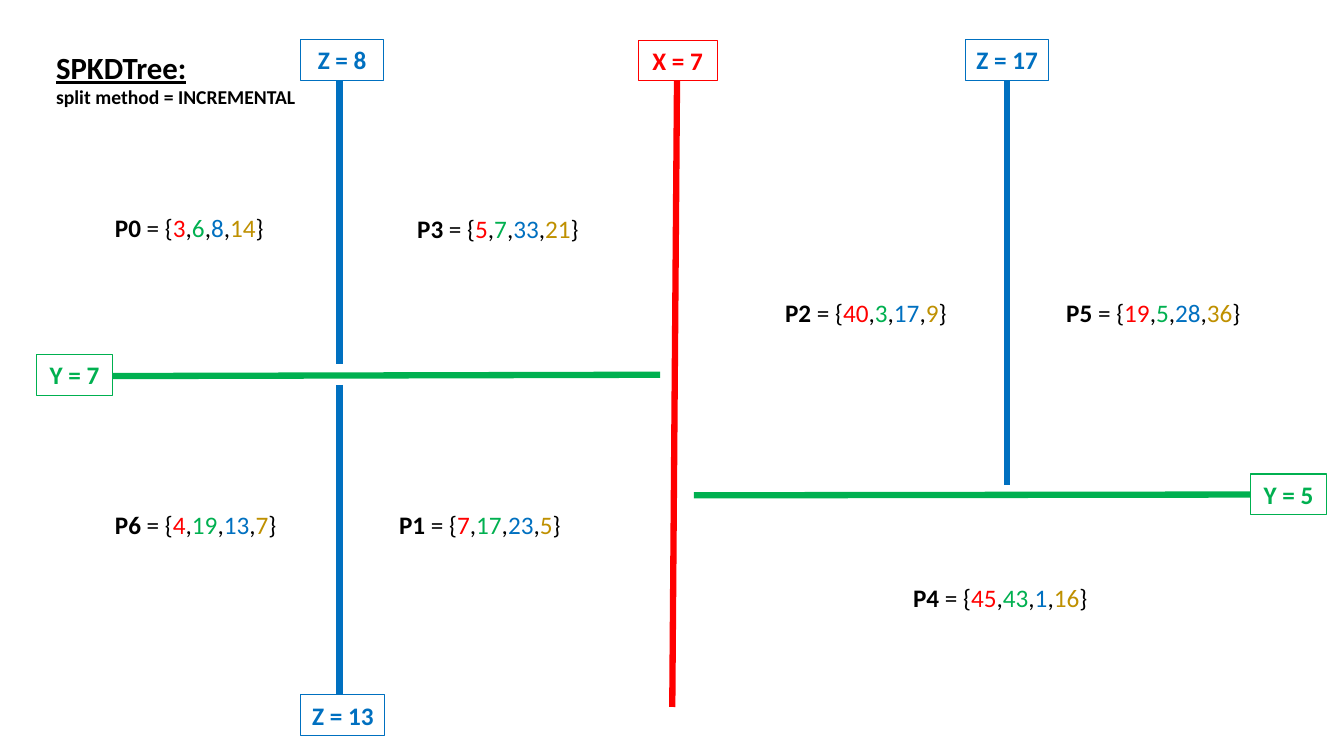
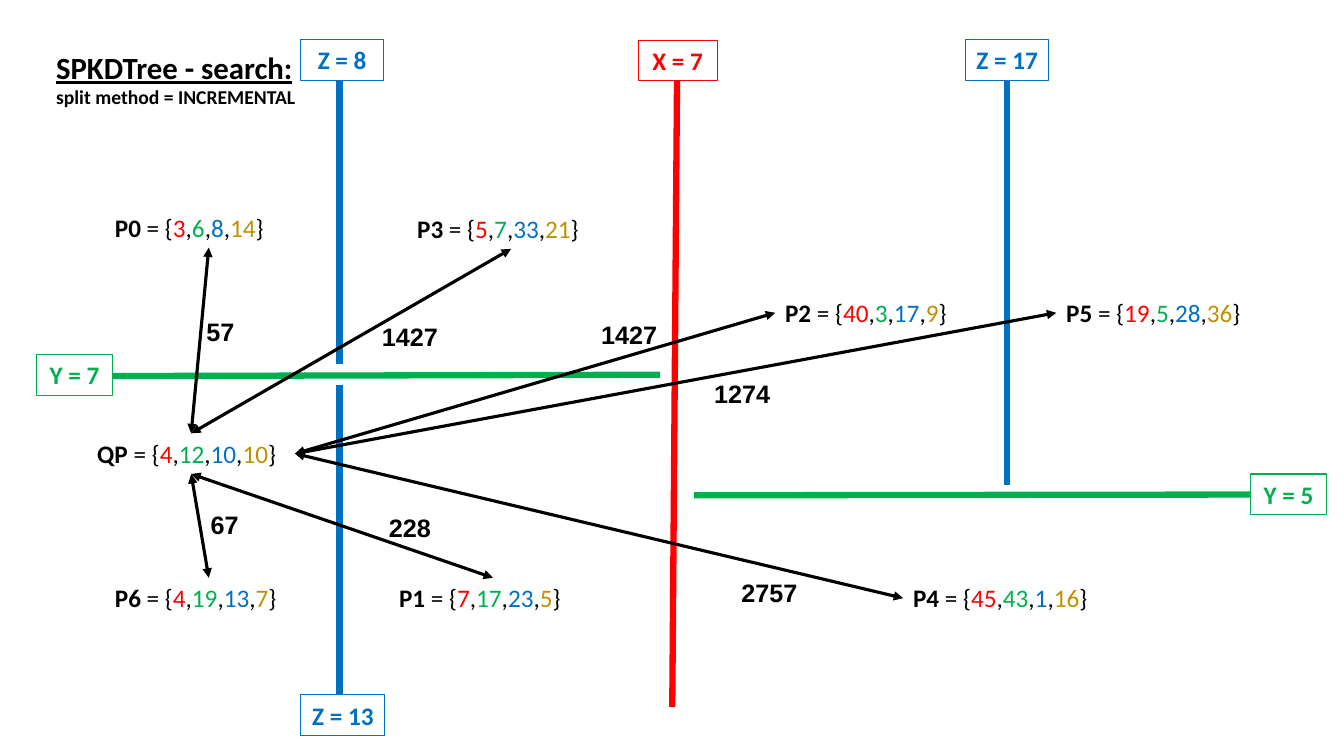
from lxml.etree import SubElement
from pptx import Presentation
from pptx.dml.color import RGBColor
from pptx.enum.shapes import MSO_CONNECTOR, MSO_SHAPE
from pptx.enum.text import MSO_AUTO_SIZE, PP_ALIGN
from pptx.oxml.ns import qn
from pptx.util import Pt

FONT = "Calibri"
BLACK, WHITE = "000000", "FFFFFF"
RED, GREEN, BLUE, GOLD = "FF0000", "00B050", "0070C0", "BF9000"
AXIS_COLORS = (RED, GREEN, BLUE, GOLD)
SLIDE = (0, 0, 960, 540)
POINT_W, ROW_H = 148.3, 29.08

# Point name: left, top (None = lower row, set per slide), values
POINTS = {
    "P0": (75, 147.8, (3, 6, 8, 14)),
    "P5": (754.5, 208.9, (19, 5, 28, 36)),
    "P1": (278, None, (7, 17, 23, 5)),
    "P2": (553.7, 208.9, (40, 3, 17, 9)),
    "P4": (645.1, 412.7, (45, 43, 1, 16)),
    "P3": (290.9, 148.7, (5, 7, 33, 21)),
    "P6": (75, None, (4, 19, 13, 7)),
}
QUERY = (62.4, 309.5, (4, 12, 10, 10))

# Split: label, colour, label box (left, top, width), line ends
SPLITS = [
    ("X = 7", RED, (455.8, 28.8, 56.5), (483.8, 31, 480.2, 505)),
    ("Y = 7", GREEN, (25.8, 253.2, 54.8), (471.6, 267.7, 43, 268.7)),
    ("Z = 17", BLUE, (689.5, 28.2, 59.8), (719.3, 42.5, 719.3, 346.3)),
    ("Y = 5", GREEN, (893, 338.6, 54.8), (924.5, 353.2, 495.6, 353.8)),
    ("Z = 8", BLUE, (214.5, 28.2, 59.8), (242.6, 33, 242.6, 260)),
    ("Z = 13", BLUE, (215, 496.2, 59.8), (242.6, 275, 242.6, 518.4)),
]

# Search: point, side of query, side of point, distance, label box
DISTANCES = [
    ("P0", "top", "bottom", "57", (138, 222.5, 39)),
    ("P6", "bottom", "top", "67", (141, 360.3, 39)),
    ("P3", "top", "bottom", "1427", (260.8, 225.7, 64)),
    ("P1", "bottom", "top", "228", (260.8, 362.2, 64)),
    ("P2", "right", "left", "1427", (417.4, 224.7, 64)),
    ("P4", "right", "left", "2757", (517.6, 408.8, 64)),
    ("P5", "right", "left", "1274", (498.2, 266.4, 64)),
]


def rgb(value):
    return RGBColor.from_string(value)


def style_run(r, color=BLACK, size=18, bold=False):
    r.font.name, r.font.size, r.font.bold = FONT, Pt(size), bold
    r.font.color.rgb = rgb(color)


def fit_text(sp):
    tf = sp.text_frame
    tf.word_wrap = True
    tf.auto_size = MSO_AUTO_SIZE.SHAPE_TO_FIT_TEXT
    return tf.paragraphs[0]


def add_text(s, box):
    return fit_text(s.shapes.add_textbox(*map(Pt, box)))


def add_line(s, ends, color, width, arrows=False):
    line = s.shapes.add_connector(MSO_CONNECTOR.STRAIGHT, *map(Pt, ends))
    line.line.color.rgb = rgb(color)
    line.line.width = Pt(width)
    sp_pr = line._element.spPr
    if arrows:
        ln = sp_pr.find(qn("a:ln"))
        for end in ("a:headEnd", "a:tailEnd"):
            SubElement(ln, qn(end)).set("type", "triangle")
    SubElement(sp_pr, qn("a:effectLst"))


def add_title(s, box, title):
    p = add_text(s, box)
    p.text = f"{title}\vsplit method = INCREMENTAL"
    heading, method = p.runs
    style_run(heading, size=22, bold=True)
    heading.font.underline = True
    style_run(method, size=14, bold=True)


def add_point(s, box, name, values):
    p = add_text(s, box)
    parts = [(name, BLACK), (" = {", BLACK)]
    for value, color in zip(values, AXIS_COLORS):
        parts += [(str(value), color), (",", BLACK)]
    parts[-1] = ("}", BLACK)
    for text, color in parts:
        r = p.add_run()
        r.text = text
        style_run(r, color, bold=text == name)


def add_split_label(s, box, text, color):
    sp = s.shapes.add_shape(MSO_SHAPE.RECTANGLE, *map(Pt, box))
    sp.shadow.inherit = False
    sp.fill.solid()
    sp.fill.fore_color.rgb = rgb(WHITE)
    sp.line.color.rgb = rgb(color)
    sp.line.width = Pt(0.75)
    p = fit_text(sp)
    p.text = text
    p.alignment = PP_ALIGN.CENTER
    style_run(p.runs[0], color, bold=True)


def add_distance(s, box, text):
    p = add_text(s, box)
    p.text = text
    p.alignment = PP_ALIGN.CENTER
    r = p.runs[0]
    style_run(r, bold=True)
    # Right-to-left digits use the complex-script font
    p._p.get_or_add_pPr().set("rtl", "1")
    SubElement(r.font._element, qn("a:cs")).set("typeface", "Arial")


def side(box, name):
    x, y, w, h = box
    return {"top": (x + w / 2, y), "bottom": (x + w / 2, y + h),
            "left": (x, y + h / 2), "right": (x + w, y + h / 2)}[name]


def draw_tree(s, area, title, lower_row):
    """Draw points and splits; return the box of each point."""
    x0, y0 = area[:2]
    boxes = {}
    for name, (x, y, values) in POINTS.items():
        top = lower_row if y is None else y
        boxes[name] = (x0 + x, y0 + top, POINT_W, ROW_H)
        add_point(s, boxes[name], name, values)
    for _, color, _, (x1, y1, x2, y2) in SPLITS:
        add_line(s, (x0 + x1, y0 + y1, x0 + x2, y0 + y2), color, 4.5)
    add_title(s, (x0 + 33, y0 + 31, 319, 51), title)
    for text, color, (x, y, w), _ in SPLITS:
        add_split_label(s, (x0 + x, y0 + y, w, ROW_H), text, color)
    return boxes


def draw_search(s, area, boxes):
    x0, y0 = area[:2]
    x, y, values = QUERY
    query = (x0 + x, y0 + y, POINT_W, ROW_H)
    add_point(s, query, "QP", values)
    for name, start, end, distance, (x, y, w) in DISTANCES:
        ends = side(query, start) + side(boxes[name], end)
        add_line(s, ends, BLACK, 2.25, arrows=True)
        add_distance(s, (x0 + x, y0 + y, w, ROW_H), distance)


def main():
    prs = Presentation()
    prs.slide_width, prs.slide_height = map(Pt, SLIDE[2:])
    blank = prs.slide_layouts[6]

    # Tree
    draw_tree(prs.slides.add_slide(blank), SLIDE, "SPKDTree:", 360)

    # Search in the tree
    s = prs.slides.add_slide(blank)
    boxes = draw_tree(s, SLIDE, "SPKDTree - search:", 412.7)
    draw_search(s, SLIDE, boxes)

    prs.save("out.pptx")


if __name__ == "__main__":
    main()
